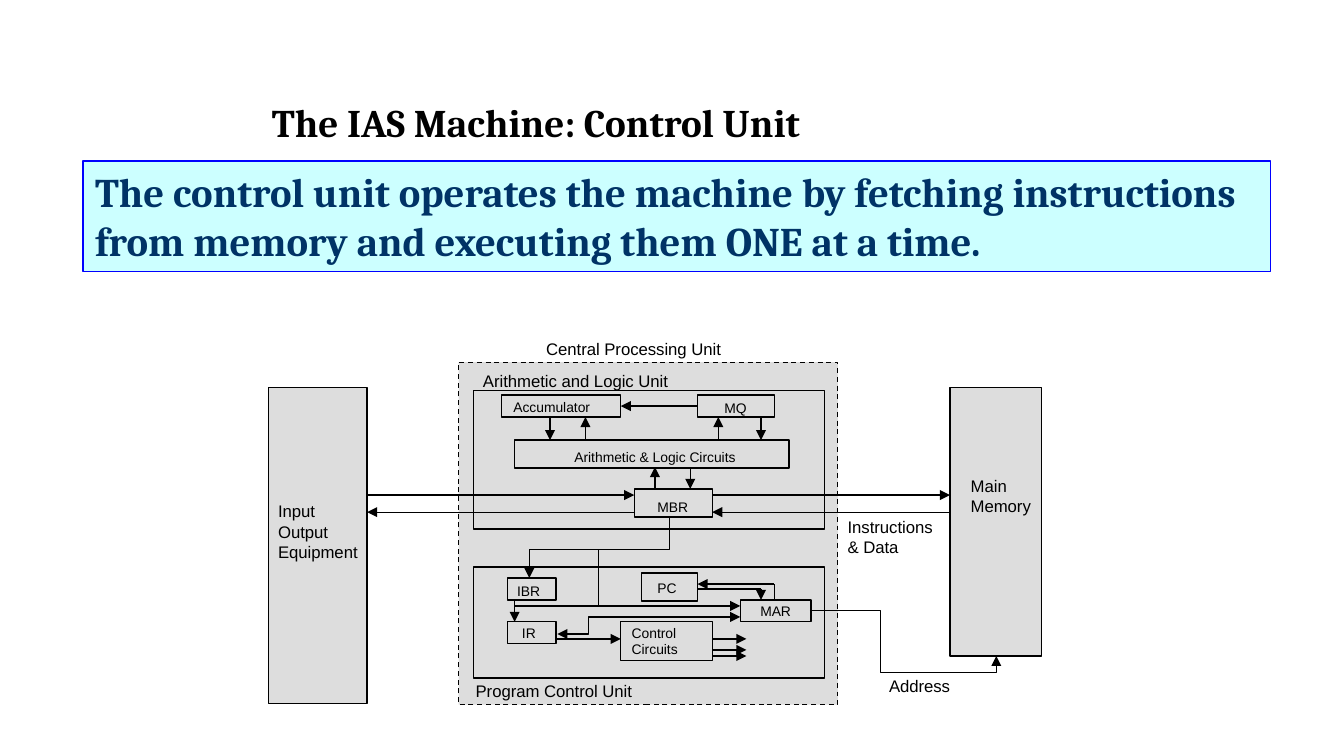
from dataclasses import dataclass
from typing import Optional

import pptx
import pptx.util
import pptx.dml.color
import pptx.enum.dml
import pptx.enum.shapes
import pptx.enum.text
import pptx.oxml
import pptx.oxml.ns

RGB = pptx.dml.color.RGBColor
BLACK = RGB(0x00, 0x00, 0x00)
GREY = RGB(0xDD, 0xDD, 0xDD)
AQUA = RGB(0xCC, 0xFF, 0xFF)
BLUE = RGB(0x00, 0x00, 0xFF)
NAVY = RGB(0x00, 0x33, 0x66)

COLS, ROWS = 110.2, 62
CELL = pptx.util.Inches(0.1)
LARGE, SMALL = 9.9, 8.2
STROKE = pptx.util.Pt(0.75)
MARGINS = dict(margin_left=0.8, margin_right=0.8, margin_top=0.4, margin_bottom=0.4)
ANCHOR = pptx.enum.text.MSO_ANCHOR
ALIGN = pptx.enum.text.PP_ALIGN
AUTO = pptx.enum.text.MSO_AUTO_SIZE
CONNECTOR = pptx.enum.shapes.MSO_CONNECTOR


@dataclass
class Box:
    name: str
    col: float
    row: float
    cols: float
    rows: float
    fill: Optional[RGB] = None
    dashed: bool = False
    text: str = ""


@dataclass
class Label:
    text: str
    col: float
    row: float
    cols: float
    size: float = LARGE
    align: ALIGN = ALIGN.LEFT


@dataclass
class Wire:
    begin: tuple[float, float]
    end: tuple[float, float]
    head: bool = False
    tail: bool = True
    preset: str = "line"
    bends: tuple[float, ...] = ()
    turned: bool = False
    join: Optional[tuple[str, int, str, int]] = None


BOXES = [
    Box("cpu", 37.6, 29.7, 31.1, 28.1, GREY, dashed=True),
    Box("io", 22, 31.8, 8.1, 25.9, GREY),
    Box("alu", 38.8, 32, 28.8, 11.4),
    Box("pcu", 38.8, 46.5, 28.8, 9.1),
    Box("memory", 77.9, 31.8, 7.5, 22, GREY),
    Box("mbr", 52, 40.1, 6.4, 2.3),
    Box("circuits", 42.2, 36.1, 22.5, 2.3),
    Box("accumulator", 41.1, 32.4, 9.8, 1.8),
    Box("mq", 57.2, 32.4, 6.3, 1.8),
    Box("ibr", 41.6, 47.4, 4, 1.8),
    Box("ir", 41.6, 51, 4, 1.8),
    Box("control", 50.9, 51, 7.5, 3.2),
    Box("pc", 52.6, 47, 4.6, 2.3),
    Box("mar", 60.7, 49.2, 5.8, 1.8, text="MAR"),
]

LABELS = [
    Label("Central Processing Unit", 43.9, 27.4, 16.1, align=ALIGN.CENTER),
    Label("Arithmetic and Logic Unit", 38.8, 30, 16.9),
    Label("Program Control Unit", 38.2, 55.4, 14.5),
    Label("Input\nOutput\nEquipment", 22, 40.7, 8.2),
    Label("Main\nMemory", 78.8, 38.6, 6.6),
    Label("Instructions\n& Data", 68.7, 42, 8.7),
    Label("Address", 72.1, 55, 6.7),
    Label("Accumulator", 41.3, 32.3, 8, SMALL),
    Label("MQ", 58.6, 32.4, 3.5, SMALL),
    Label("Arithmetic & Logic Circuits", 46.3, 36.4, 15.1, SMALL),
    Label("MBR", 53.1, 40.5, 4.2, SMALL),
    Label("IBR", 41.6, 47.4, 3.5, SMALL),
    Label("IR", 42, 50.8, 2.8, SMALL),
    Label("PC", 53.1, 47.1, 3.2, SMALL),
    Label("Control\nCircuits", 51, 50.8, 5.5, SMALL),
]

WIRES = [
    Wire((30.1, 40.6), (52, 40.6)),
    Wire((58.4, 40.6), (77.9, 40.6)),
    Wire((77.9, 42), (58.4, 42)),
    Wire((52, 42), (30.1, 42)),
    Wire((53.7, 40.1), (53.7, 38.3)),
    Wire((56.6, 38.3), (56.6, 40.1)),
    Wire((45.1, 34.2), (45.1, 36.1)),
    Wire((48, 36.1), (48, 34.2)),
    Wire((58.9, 36.1), (58.9, 34.2)),
    Wire((62.4, 34.2), (62.4, 36.1)),
    Wire((57.2, 33.3), (50.9, 33.3), join=("mq", 1, "accumulator", 3)),
    Wire((42.2, 49.2), (42.2, 51)),
    Wire((45.7, 52.4), (50.9, 52.4)),
    Wire((63.5, 47.9), (57.2, 47.9)),
    Wire((63.5, 47.9), (63.5, 49.2), tail=False),
    Wire((62.4, 48.3), (62.4, 49.2)),
    Wire((62.4, 48.3), (57.2, 48.3), tail=False),
    Wire((42.2, 49.7), (60.7, 49.7)),
    Wire((49.1, 45.1), (49.1, 49.7), tail=False),
    *(Wire((58.4, row), (61.2, row)) for row in (52.4, 53.3, 53.8)),
    Wire((66.4, 50.1), (81.7, 53.8), preset="bentConnector4", bends=(0.38, 1.36)),
    Wire((45.7, 52), (60.7, 50.6), head=True, preset="bentConnector3", bends=(0.17,)),
    Wire((54.9, 42.4), (43.4, 47.4), preset="bentConnector3", bends=(0.54,), turned=True),
]


def grid(*cells: float) -> list[int]:
    return [round(c * CELL) for c in cells]


def add_element(parent, tag: str, **attrs: str):
    e = pptx.oxml.parse_xml(f'<{tag} {pptx.oxml.ns.nsdecls("a")}/>')
    for k, v in attrs.items():
        e.set(k, v)
    parent.append(e)
    return e


def write(tf, text: str, size: float, color: RGB, font: str, bold: bool, **layout) -> None:
    tf.text = text
    for p in tf.paragraphs:
        for k, v in layout.items():
            setattr(p, k, v)
        for r in p.runs:
            for k, v in dict(size=pptx.util.Pt(size), name=font, bold=bold).items():
                setattr(r.font, k, v)
            r.font.color.rgb = color


def paint(sp, fill: Optional[RGB], line: RGB) -> None:
    if fill is None:
        sp.fill.background()
    else:
        sp.fill.solid()
        sp.fill.fore_color.rgb = fill
    sp.line.color.rgb = line
    sp.line.width = STROKE


def place(sp, *cells: float) -> None:
    for k, v in zip(("left", "top", "width", "height"), grid(*cells)):
        setattr(sp, k, v)


def write_small(tf, text: str, size: float, align) -> None:
    for k, v in MARGINS.items():
        setattr(tf, k, grid(v)[0])
    tf.word_wrap = False
    write(tf, text, size, BLACK, "Arial", False, alignment=align)


def draw_box(s, b: Box):
    rect = pptx.enum.shapes.MSO_SHAPE.RECTANGLE
    sp = s.shapes.add_shape(rect, *grid(b.col, b.row, b.cols, b.rows))
    sp.shadow.inherit = False
    paint(sp, b.fill, BLACK)
    if b.dashed:
        sp.line.dash_style = pptx.enum.dml.MSO_LINE.DASH
    if b.text:
        write_small(sp.text_frame, b.text, SMALL, ALIGN.CENTER)
        sp.text_frame.vertical_anchor = ANCHOR.MIDDLE
    return sp


def draw_label(s, b: Label) -> None:
    rows = (b.text.count("\n") + 1) * b.size / 6 + 0.8
    sp = s.shapes.add_textbox(*grid(b.col, b.row, b.cols, rows))
    write_small(sp.text_frame, b.text, b.size, b.align)
    sp.text_frame.auto_size = AUTO.SHAPE_TO_FIT_TEXT


def draw_wire(s, w: Wire, boxes: dict) -> None:
    (x1, y1), (x2, y2) = w.begin, w.end
    if w.turned:
        cx, cy = (x1 + x2) / 2, (y1 + y2) / 2
        dx, dy = abs(y2 - y1) / 2, abs(x2 - x1) / 2
        x1, y1, x2, y2 = cx - dx, cy - dy, cx + dx, cy + dy
    kind = CONNECTOR.ELBOW if w.bends else CONNECTOR.STRAIGHT
    c = s.shapes.add_connector(kind, *grid(x1, y1, x2, y2))
    c.line.color.rgb = BLACK
    c.line.width = STROKE
    pr = c._element.spPr
    if w.turned:
        pr.xfrm.set("rot", "5400000")
    if w.bends:
        geom = pr.find(pptx.oxml.ns.qn("a:prstGeom"))
        geom.set("prst", w.preset)
        for old in list(geom):
            geom.remove(old)
        av = add_element(geom, "a:avLst")
        for i, bend in enumerate(w.bends, 1):
            add_element(av, "a:gd", name=f"adj{i}", fmla=f"val {round(bend * 100000)}")
    for shown, tag in ((w.head, "a:headEnd"), (w.tail, "a:tailEnd")):
        if shown:
            add_element(c.line._get_or_add_ln(), tag, type="triangle")
    add_element(pr, "a:effectLst")
    if w.join:
        start, i, stop, j = w.join
        c.begin_connect(boxes[start], i)
        c.end_connect(boxes[stop], j)


def main() -> None:
    prs = pptx.Presentation()
    prs.slide_width, prs.slide_height = grid(COLS, ROWS)
    s = prs.slides.add_slide(prs.slide_layouts[1])
    title, body = s.placeholders

    place(title, 21.3, 3.1, 70.5, 9.4)
    write(title.text_frame, "The IAS Machine: Control Unit", 23.1, BLACK, "Cambria", True,
          alignment=ALIGN.LEFT, line_spacing=0.9)
    title.text_frame.vertical_anchor = ANCHOR.BOTTOM

    place(body, 6.8, 13.2, 97.4, 9.1)
    paint(body, AQUA, BLUE)
    write(body.text_frame, "The control unit operates the machine by fetching instructions\n"
          "from memory and executing them ONE at a time.", 24, NAVY, "Cambria", True,
          space_before=pptx.util.Pt(0))
    for p in body.text_frame.paragraphs:
        pr = p._p.get_or_add_pPr()
        for k in ("marL", "indent"):
            pr.set(k, "0")
        add_element(pr, "a:buNone")
    for sp in (title, body):
        sp.text_frame.auto_size = AUTO.NONE

    boxes = {b.name: draw_box(s, b) for b in BOXES}
    for label in LABELS:
        draw_label(s, label)
    for wire in WIRES:
        draw_wire(s, wire, boxes)
    prs.save("out.pptx")


if __name__ == "__main__":
    main()
